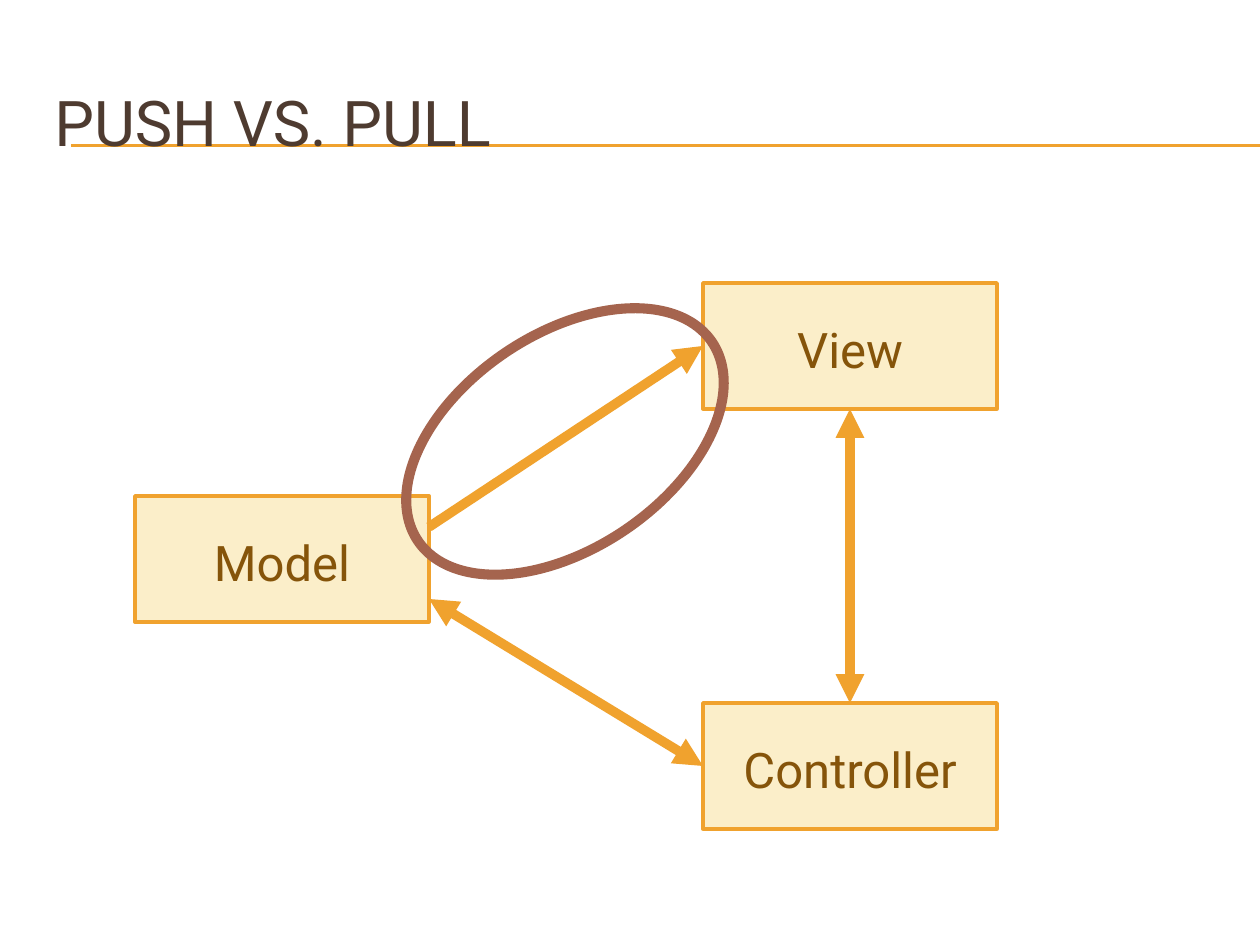
"""Build the push versus pull slide with its model, view and controller diagram."""
from lxml import etree
from pptx import Presentation
from pptx import util as u
from pptx.dml.color import RGBColor
from pptx.enum import shapes, text
from pptx.oxml.ns import qn

PX = 914400 / 126
FONT = "Roboto"
COLORS = {
    name: RGBColor.from_string(value)
    for name, value in {
        "title": "4E3B30",
        "accent": "F0A22E",
        "box": "FBEEC9",
        "label": "85540A",
        "ring": "A5644E",
    }.items()
}


def px(*lengths):
    return [u.Emu(round(length * PX)) for length in lengths]


def add_line(start, end, width, arrows=()):
    line = slide.shapes.add_connector(
        shapes.MSO_CONNECTOR.STRAIGHT, *px(*start, *end)
    )
    line.line.color.rgb = COLORS["accent"]
    line.line.width = u.Pt(width)
    for arrow in arrows:
        etree.SubElement(line.line._get_or_add_ln(), qn(f"a:{arrow}"), type="triangle")
    etree.SubElement(line._element.spPr, qn("a:effectLst"))
    return line


presentation = Presentation()
presentation.slide_width, presentation.slide_height = px(1260, 945)
slide = presentation.slides.add_slide(presentation.slide_layouts[6])

for y in (145, 146):
    add_line((71, y), (1260, y), 0.75)

title = slide.shapes.add_textbox(*px(42, 63, 1197, 116))
title.text_frame.word_wrap = True
title.text_frame.vertical_anchor = text.MSO_ANCHOR.MIDDLE
title.text_frame.text = "PUSH VS. PULL"
font = title.text_frame.paragraphs[0].runs[0].font
font.name, font.size, font.color.rgb = FONT, u.Pt(36), COLORS["title"]

boxes = {}
for label, left, top in (
    ("Model", 135, 496),
    ("View", 703, 283),
    ("Controller", 703, 703),
):
    box = slide.shapes.add_shape(
        shapes.MSO_SHAPE.RECTANGLE, *px(left, top, 294, 126)
    )
    box.shadow.inherit = False
    box.fill.solid()
    box.fill.fore_color.rgb = COLORS["box"]
    box.line.color.rgb = COLORS["accent"]
    box.line.width = u.Pt(2)
    frame = box.text_frame
    frame.vertical_anchor = text.MSO_ANCHOR.MIDDLE
    frame.margin_top, frame.margin_bottom = px(12, 6)
    frame.text = label
    paragraph = frame.paragraphs[0]
    paragraph.alignment = text.PP_ALIGN.CENTER
    font = paragraph.runs[0].font
    font.name, font.size, font.color.rgb = FONT, u.Pt(28), COLORS["label"]
    boxes[label] = box

both_ends = ("headEnd", "tailEnd")
model_to_view = add_line((429, 527), (703, 346), 5.5, ("tailEnd",))
model_to_view.end_connect(boxes["View"], 1)

controller_to_model = add_line((703, 766), (429, 599), 5.5, both_ends)
controller_to_model.begin_connect(boxes["Controller"], 1)

controller_to_view = add_line((850, 703), (850, 409), 5.5, both_ends)
controller_to_view.begin_connect(boxes["Controller"], 0)
controller_to_view.end_connect(boxes["View"], 2)

ring = slide.shapes.add_shape(shapes.MSO_SHAPE.OVAL, *px(458, 264, 214, 355))
ring.rotation = 55.9
ring.shadow.inherit = False
ring.fill.background()
ring.line.color.rgb = COLORS["ring"]
ring.line.width = u.Pt(5.75)

presentation.save("out.pptx")
